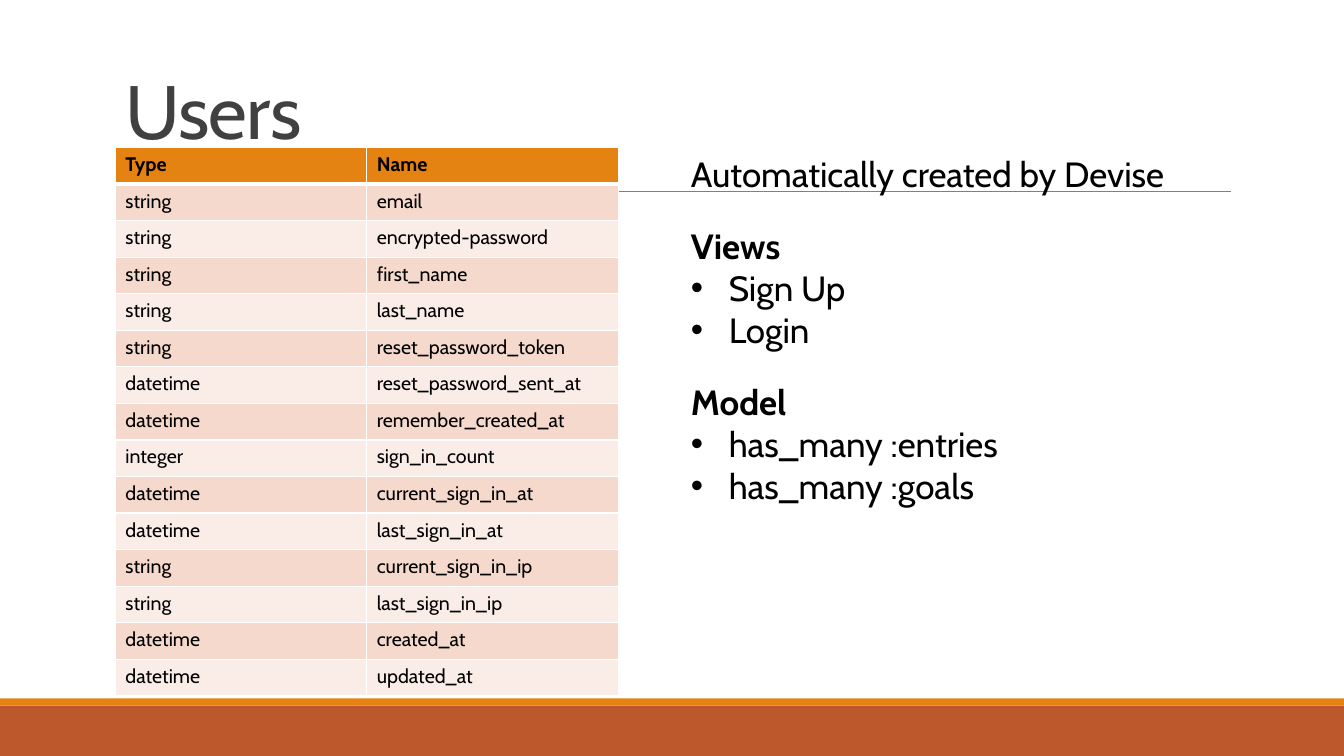
from lxml import etree
from pptx import Presentation
from pptx.dml.color import RGBColor
from pptx.enum.shapes import MSO_CONNECTOR, MSO_SHAPE
from pptx.enum.text import MSO_ANCHOR
from pptx.oxml import parse_xml
from pptx.oxml.ns import qn
from pptx.util import Pt

RECTANGLE = MSO_SHAPE.RECTANGLE
STRAIGHT = MSO_CONNECTOR.STRAIGHT
BOTTOM = MSO_ANCHOR.BOTTOM
DRAWING = "http://schemas.openxmlformats.org/drawingml/2006/main"


def color(value):
    return RGBColor.from_string(value)


def add_span(para, text, size, tint="000000", bold=False):
    span = para.add_run()
    span.text = text
    span.font.name = "Cabin"
    span.font.size = Pt(size)
    span.font.bold = bold
    span.font.color.rgb = color(tint)
    return span


deck = Presentation()
deck.slide_width = Pt(960)
deck.slide_height = Pt(540)
page = deck.slides.add_slide(deck.slide_layouts[6])

for top, height, tint in [(504, 36, "BD582C"), (498.8, 5.2, "E48312")]:
    band = page.shapes.add_shape(RECTANGLE, Pt(0), Pt(top), Pt(960), Pt(height))
    band.shadow.inherit = False
    band.fill.solid()
    band.fill.fore_color.rgb = color(tint)
    band.line.fill.background()

rule = page.shapes.add_connector(STRAIGHT, Pt(94), Pt(136.8), Pt(879), Pt(136.8))
rule.line.color.rgb = color("808080")
rule.line.width = Pt(0.5)
etree.SubElement(rule._element.spPr, qn("a:effectLst"))

notes = [
    ("Automatically created by Devise", "plain"),
    ("Views", "heading"),
    ("Sign Up", "bullet"),
    ("Login", "bullet"),
    ("Model", "heading"),
    ("has_many :entries", "bullet"),
    ("has_many :goals", "bullet"),
]
box = page.shapes.add_textbox(Pt(486.5), Pt(105.1), Pt(423.5), Pt(309))
box.text_frame.word_wrap = True
for index, (text, style) in enumerate(notes):
    para = box.text_frame.paragraphs[0] if index == 0 else box.text_frame.add_paragraph()
    add_span(para, text, 25, bold=style == "heading")
    if style == "heading":
        para.space_before = Pt(21.5)
    if style == "bullet":
        properties = para._p.get_or_add_pPr()
        properties.set("marL", str(Pt(27)))
        properties.set("indent", str(-Pt(27)))
        etree.SubElement(properties, qn("a:buFont")).set("typeface", "Arial")
        etree.SubElement(properties, qn("a:buChar")).set("char", "•")

fields = [
    ("Type", "Name"),
    ("string", "email"),
    ("string", "encrypted-password"),
    ("string", "first_name"),
    ("string", "last_name"),
    ("string", "reset_password_token"),
    ("datetime", "reset_password_sent_at"),
    ("datetime", "remember_created_at"),
    ("integer", "sign_in_count"),
    ("datetime", "current_sign_in_at"),
    ("datetime", "last_sign_in_at"),
    ("string", "current_sign_in_ip"),
    ("string", "last_sign_in_ip"),
    ("datetime", "created_at"),
    ("datetime", "updated_at"),
]
row_height = 26.13
frame = page.shapes.add_table(
    len(fields), 2, Pt(82.4), Pt(105.4), Pt(359.2), Pt(row_height * len(fields))
)
table = frame.table
for column in table.columns:
    column.width = Pt(179.6)
for row_index, field in enumerate(fields):
    table.rows[row_index].height = Pt(row_height)
    header = row_index == 0
    fill = "E48312" if header else ("FAEDE7", "F5D9CC")[row_index % 2]
    widths = {"lnL": 1, "lnR": 1, "lnT": 3 if row_index == 1 else 1, "lnB": 3 if header else 1}
    for column_index, text in enumerate(field):
        cell = table.cell(row_index, column_index)
        cell.fill.solid()
        cell.fill.fore_color.rgb = color(fill)
        add_span(cell.text_frame.paragraphs[0], text, 14, bold=header)
        properties = cell._tc.get_or_add_tcPr()
        for position, (side, width) in enumerate(widths.items()):
            border = parse_xml(
                f'<a:{side} xmlns:a="{DRAWING}" w="{Pt(width)}"><a:solidFill>'
                f'<a:srgbClr val="FFFFFF"/></a:solidFill></a:{side}>'
            )
            properties.insert(position, border)

title = page.shapes.add_textbox(Pt(82.4), Pt(0), Pt(792), Pt(114.5))
title.text_frame.word_wrap = True
title.text_frame.vertical_anchor = BOTTOM
para = title.text_frame.paragraphs[0]
para.line_spacing = 0.85
span = add_span(para, "Users", 54, "404040")
span.font._element.set("spc", "-50")

deck.save("out.pptx")
